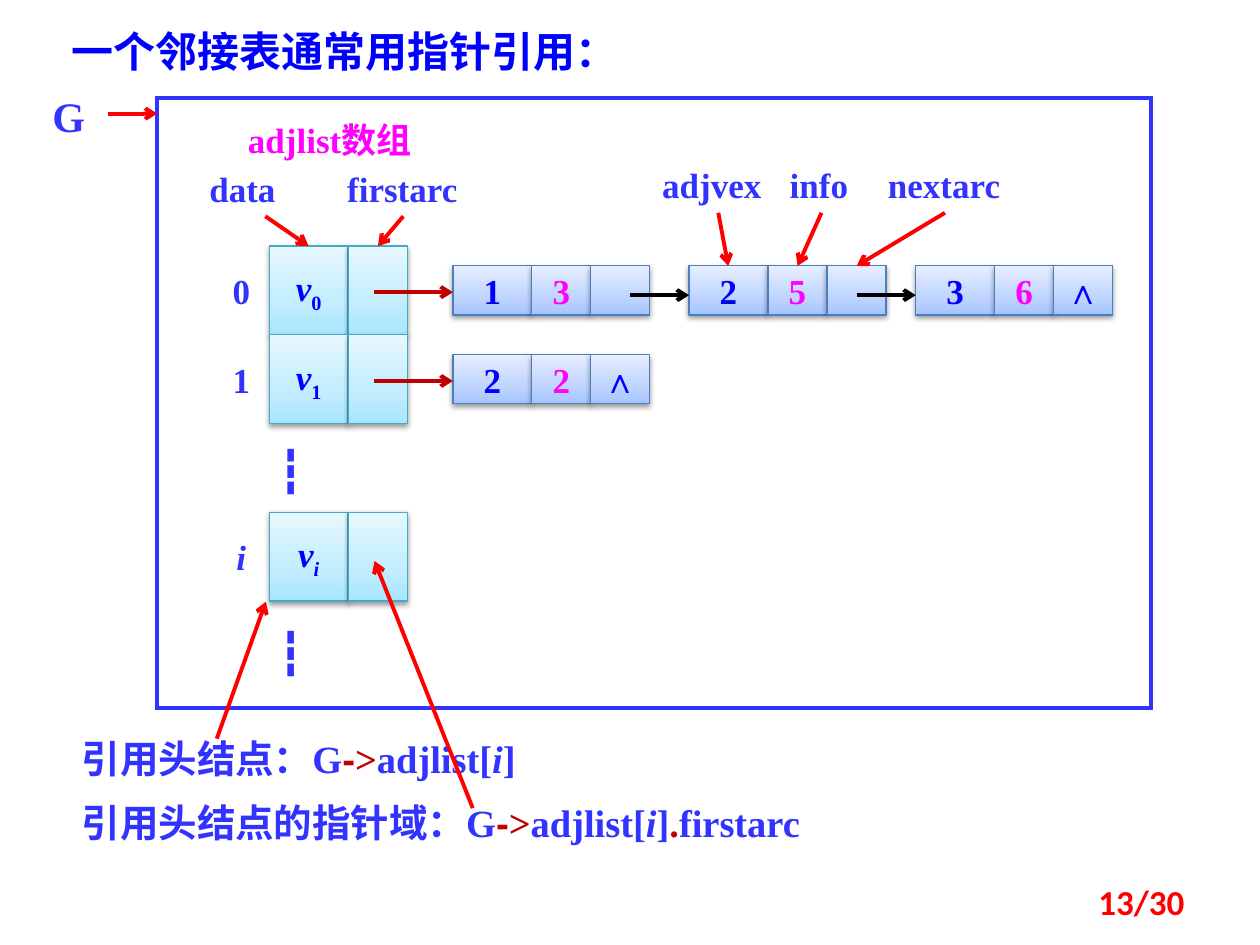
import pptx
import pptx.util
import pptx.dml.color
import pptx.enum.shapes
import pptx.enum.text
import pptx.oxml
import pptx.oxml.ns
import copy

Cm, Pt = pptx.util.Cm, pptx.util.Pt
ALIGN = pptx.enum.text.PP_ALIGN
ANCHOR = pptx.enum.text.MSO_ANCHOR
RECT = pptx.enum.shapes.MSO_SHAPE.RECTANGLE
STRAIGHT = pptx.enum.shapes.MSO_CONNECTOR.STRAIGHT
NS = 'xmlns:a="http://schemas.openxmlformats.org/drawingml/2006/main"'
CJK = "Noto Sans CJK SC"
COLORS = {"blue": "0000FF", "ink": "3333FF", "pink": "FF00FF", "red": "FF0000",
          "dark_red": "C00000", "black": "000000", "white": "FFFFFF"}
HEAD = {"line": "46AAC5", "stops": ("A7E6FF", "C1EDFF", "E7F8FF")}
NODE = {"line": "4B7EBC", "stops": ("A4C4FF", "BFD4FF", "E6EEFF")}
DATA_W, LINK_W, HEAD_H, NODE_H = 1.59, 1.19, 1.79, 0.99


def rgb(color):
    """Turn a colour name or a hex string into an RGBColor."""
    return pptx.dml.color.RGBColor.from_string(COLORS.get(color, color))


def element(tag, attributes="", inner=""):
    """Make one DrawingML element."""
    return pptx.oxml.parse_xml(f"<a:{tag} {NS} {attributes}>{inner}</a:{tag}>")


def write(shape, runs, align=ALIGN.LEFT, **frame):
    """Fill a shape with one paragraph of (text, colour, format) runs."""
    tf = shape.text_frame
    for name, value in ({"word_wrap": True} | frame).items():
        setattr(tf, name, value)
    p = tf.paragraphs[0]
    p.alignment = align
    for text, color, fmt in runs:
        r = p.add_run()
        r.text = text
        fmt = {"name": "Times New Roman", "size": 20, "bold": True} | fmt
        base = fmt.pop("baseline", None)
        fmt["size"] = Pt(fmt["size"])
        for name, value in fmt.items():
            setattr(r.font, name, value)
        r.font.color.rgb = rgb(color)
        rpr = r.font._element
        rpr.append(element("ea", f'typeface="{CJK}"'))
        if base:
            rpr.set("baseline", str(base * 1000))


def label(s, box, runs, align=ALIGN.LEFT, **frame):
    """Place a text box at box = (left, top, width, height)."""
    sp = s.shapes.add_textbox(*map(Cm, box))
    write(sp, runs, align, **frame)


def arrow(s, start, end, color="red"):
    """Draw an open-headed arrow between two points."""
    sp = s.shapes.add_connector(STRAIGHT, *map(Cm, start + end))
    sp.line.width = Pt(2.25)
    sp.line.color.rgb = rgb(color)
    sp.line._get_or_add_ln().append(element("tailEnd", 'type="arrow"'))
    sp._element.spPr.append(element("effectLst"))


def cell(s, box, style, runs=()):
    """Draw one shaded memory cell with a soft shadow."""
    sp = s.shapes.add_shape(RECT, *map(Cm, box))
    sp.fill.gradient()
    sp.fill.gradient_angle = 90
    stops = sp._element.spPr.find(".//" + pptx.oxml.ns.qn("a:gsLst"))
    stops.insert(1, copy.deepcopy(stops[0]))
    for stop, pos, color in zip(sp.fill.gradient_stops, (0, 0.35, 1), style["stops"]):
        stop.position = pos
        stop.color.rgb = rgb(color)
    sp.line.color.rgb = rgb(style["line"])
    sp.line.width = Pt(0.75)
    sp.shadow.inherit = False
    effects = sp._element.spPr.find(pptx.oxml.ns.qn("a:effectLst"))
    effects.append(element(
        "outerShdw", 'blurRad="40000" dist="20000" dir="5400000" rotWithShape="0"',
        '<a:srgbClr val="000000"><a:alpha val="38000"/></a:srgbClr>'))
    if runs:
        write(sp, runs, ALIGN.CENTER, word_wrap=False, vertical_anchor=ANCHOR.MIDDLE)


def head_node(s, x, y, index, italic=False):
    """Draw a head node with its index to the left of (x, y)."""
    cell(s, (x, y, DATA_W, HEAD_H), HEAD,
         [("v", "blue", {"italic": True}),
          (index, "blue", {"italic": italic, "baseline": -25})])
    cell(s, (x + DATA_W, y, LINK_W, HEAD_H), HEAD)
    label(s, (x - 1.06, y + 0.47, 0.99, 0.86), [(index, "ink", {"italic": italic})],
          ALIGN.CENTER, margin_left=0, margin_right=0, margin_top=0, margin_bottom=0)


def arc_node(s, x, y, adjvex, info, link, first):
    """Draw an arc node at (x, y) and the arrow that leads to it."""
    cell(s, (x, y, DATA_W, NODE_H), NODE, [(adjvex, "blue", {})])
    cell(s, (x + DATA_W, y, LINK_W, NODE_H), NODE, [(info, "pink", {})])
    cell(s, (x + DATA_W + LINK_W, y, LINK_W, NODE_H), NODE,
         [(link, "blue", {})] if link else ())
    dx, dy, color = (1.59, 0.53, "dark_red") if first else (1.19, 0.59, "black")
    arrow(s, (x - dx, y + dy), (x, y + dy), color)


def adjacency_list(s, x, y):
    """Draw head nodes, arc nodes and field labels from the corner (x, y)."""
    for row, index, italic in ((0, "0", False), (1, "1", False), (3, "i", True)):
        head_node(s, x, y + row * HEAD_H, index, italic)
    for dx, row, adjvex, info, link in ((3.7, 0, "1", "3", ""), (8.46, 0, "2", "5", ""),
                                        (13.03, 0, "3", "6", "∧"), (3.7, 1, "2", "2", "∧")):
        arc_node(s, x + dx, y + 0.4 + row * HEAD_H, adjvex, info, link, dx == 3.7)
    for text, dx, dy, w, start, end in (
            ("data", -1.46, -1.7, 2.78, (-0.08, -0.6), (0.79, 0)),
            ("firstarc", 1.32, -1.7, 2.78, (2.7, -0.6), (2.19, 0)),
            ("adjvex", 7.67, -1.78, 2.78, (9.05, -0.67), (9.25, 0.4)),
            ("info", 10.24, -1.78, 1.79, (11.13, -0.67), (10.65, 0.4)),
            ("nextarc", 12.22, -1.78, 2.78, (13.62, -0.67), (11.84, 0.4))):
        label(s, (x + dx, y + dy, w, 1.11), [(text, "ink", {})])
        arrow(s, (x + start[0], y + start[1]), (x + end[0], y + end[1]))
    for dy in (3.88, 7.54):
        label(s, (x - 0.07, y + dy, 1.4, 1.27), [("\u2507", "ink", {"size": 24})])
    label(s, (x - 0.68, y - 2.7, 4.2, 1.11), [("adjlist数组", "pink", {})])


def graph_frame(s, x, y, w, h):
    """Draw the frame of the graph with the pointer G to its left."""
    sp = s.shapes.add_shape(RECT, *map(Cm, (x, y, w, h)))
    sp.fill.background()
    sp.line.color.rgb = rgb("ink")
    sp.line.width = Pt(2.25)
    sp.line._get_or_add_ln().append(element("miter", 'lim="800000"'))
    sp.shadow.inherit = False
    label(s, (x - 2.58, y - 0.28, 1.59, 1.27), [("G", "ink", {"size": 24})], ALIGN.CENTER)
    arrow(s, (x - 0.99, y + 0.31), (x, y + 0.31))


def references(s, x, y):
    """Write the two reference expressions and point at what they name."""
    for text, field, dy, w, start, end in (
            ("引用头结点：G", (), 0, 12.7, (2.97, 0.2), (3.96, -2.56)),
            ("引用头结点的指针域：G", ((".", "dark_red", {}), ("firstarc", "ink", {})),
             1.29, 18.47, (8.13, 1.6), (6.15, -3.38))):
        runs = [(text, "ink", {}), ("-", "dark_red", {"name": "Arial"}),
                (">", "dark_red", {}), ("adjlist[", "ink", {}),
                ("i", "ink", {"italic": True}), ("]", "ink", {}), *field]
        label(s, (x, y + dy, w, 1.19), [(t, c, {"size": 22} | f) for t, c, f in runs])
        arrow(s, (x + start[0], y + start[1]), (x + end[0], y + end[1]))


def title(s, x, y, w, h):
    """Write the heading on a white box."""
    sp = s.shapes.add_shape(RECT, *map(Cm, (x, y, w, h)))
    sp.fill.solid()
    sp.fill.fore_color.rgb = rgb("white")
    sp.line.fill.background()
    sp.shadow.inherit = False
    write(sp, [("一个邻接表通常用指针引用：", "blue", {"name": CJK, "size": 24})],
          vertical_anchor=ANCHOR.TOP)


prs = pptx.Presentation()
prs.slide_width, prs.slide_height = Cm(25.4), Cm(19.05)
s = prs.slides.add_slide(prs.slide_layouts[6])
adjacency_list(s, 5.43, 4.96)
title(s, 1.19, 0.38, 11.91, 1.28)
graph_frame(s, 3.17, 1.98, 20.04, 12.3)
references(s, 1.4, 14.69)
label(s, (18.2, 17.66, 5.93, 1.01), [("13/30", "red", {"name": "Calibri"})],
      ALIGN.RIGHT, vertical_anchor=ANCHOR.MIDDLE)
prs.save("out.pptx")
